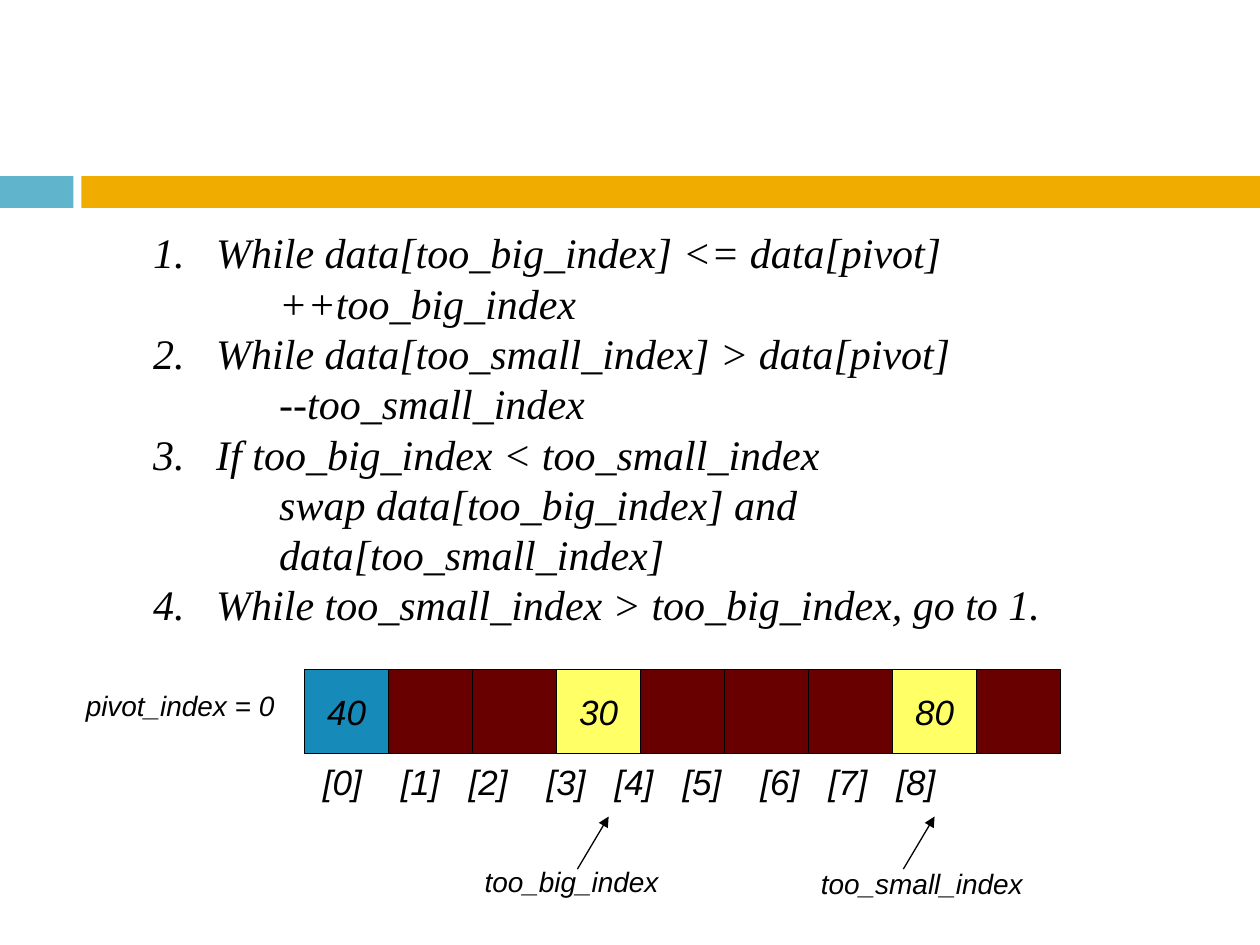
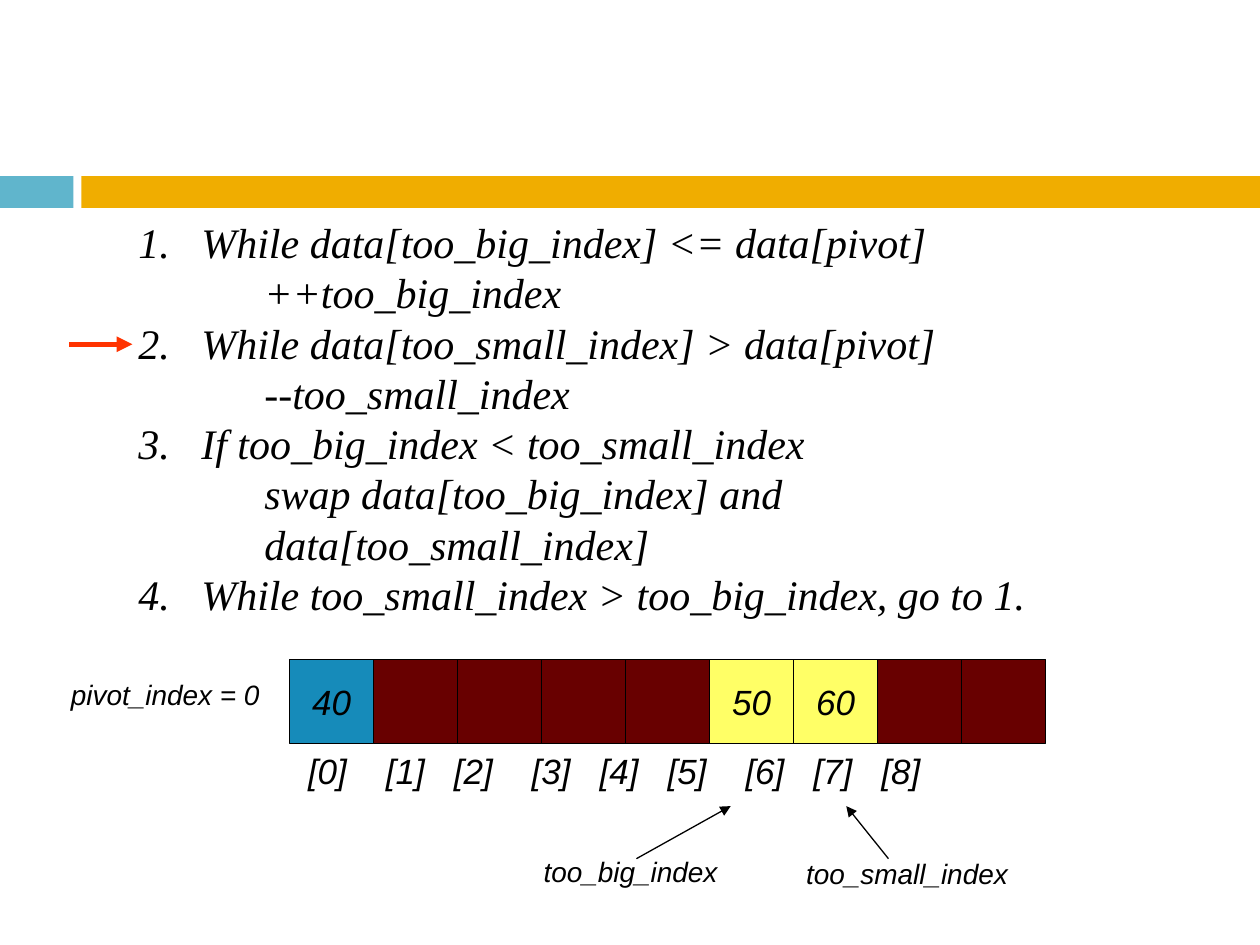
"""Builds two quicksort partition slides: the algorithm steps above the array state."""
from itertools import accumulate

from pptx import Presentation
from pptx.dml.color import RGBColor
from pptx.enum.shapes import MSO_CONNECTOR, MSO_SHAPE
from pptx.enum.text import MSO_ANCHOR, PP_ALIGN
from pptx.oxml.ns import qn
from pptx.util import Cm, Pt
from lxml import etree

RECT = MSO_SHAPE.RECTANGLE
STRAIGHT = MSO_CONNECTOR.STRAIGHT
MIDDLE = MSO_ANCHOR.MIDDLE
CENTER = PP_ALIGN.CENTER

COLORS = {
    "black": "000000",
    "band_blue": "60B5CC",
    "band_gold": "F0AD00",
    "pivot": "168BBA",
    "plain": "680000",
    "active": "FFFF66",
    "pointer": "FF3300",
}
SANS, SERIF = "Arial", "Times New Roman"
CELL_COUNT = 9
CELL = 15.24 / CELL_COUNT
INDENT = 1.27
NARROW_GAP, WIDE_GAP = 1.37, 1.57
INDEX_GAPS = [WIDE_GAP if i in (0, 2, 5) else NARROW_GAP for i in range(CELL_COUNT - 1)]

STEPS = [
    (0, "While data[too_big_index] <= data[pivot]"),
    (1, "++too_big_index"),
    (0, "While data[too_small_index] > data[pivot]"),
    (1, "--too_small_index"),
    (0, "If too_big_index < too_small_index"),
    (1, "swap data[too_big_index] and data[too_small_index]"),
    (0, "While too_small_index > too_big_index, go to 1."),
]

STATES = [
    {"origin": (2.84, 4.45), "active": {3: 30, 7: 80},
     "big_x": 6.68, "big_tip": 9.43, "small_tip": 16.0},
    {"origin": (2.54, 4.24), "active": {5: 50, 6: 60},
     "big_x": 8.17, "big_tip": 12.19, "small_tip": 14.52, "current_step_y": 2.7},
]


def rgb(name):
    """Return the named colour."""
    return RGBColor.from_string(COLORS[name])


class Deck:
    """Holds the shared style and the slide being drawn."""

    def __init__(self):
        """Start an empty 4:3 presentation."""
        self.prs = Presentation()
        self.prs.slide_width, self.prs.slide_height = Cm(25.4), Cm(19.05)
        self.s = None
        self.x = self.y = 0

    def new_slide(self, origin):
        """Add a slide with its bands, then measure from the given origin."""
        self.s = self.prs.slides.add_slide(self.prs.slide_layouts[6])
        self.x = self.y = 0
        self.rect(0, 3.55, 1.48, 0.64, "band_blue")
        self.rect(1.64, 3.55, 23.76, 0.64, "band_gold")
        self.x, self.y = origin

    def place(self, x, y):
        """Turn a point relative to the origin into slide lengths."""
        return Cm(self.x + x), Cm(self.y + y)

    def rect(self, x, y, w, h, fill):
        """Add a plain filled rectangle."""
        sp = self.s.shapes.add_shape(RECT, *self.place(x, y), Cm(w), Cm(h))
        sp.shadow.inherit = False
        sp.fill.solid()
        sp.fill.fore_color.rgb = rgb(fill)
        sp.line.fill.background()
        return sp

    def run(self, p, text, size, font=SANS):
        """Add one black italic run."""
        r = p.add_run()
        r.text = text
        r.font.name, r.font.size, r.font.italic = font, Pt(size), True
        r.font.color.rgb = rgb("black")

    def cell(self, x, y, fill, value=None):
        """Add one outlined array cell, with its value if it is in play."""
        sp = self.rect(x, y, CELL, CELL, fill)
        sp.line.color.rgb = rgb("black")
        sp.line.width = Pt(0.75)
        if value is not None:
            tf = sp.text_frame
            tf.word_wrap, tf.vertical_anchor = False, MIDDLE
            p = tf.paragraphs[0]
            p.alignment = CENTER
            self.run(p, str(value), 20)

    def array(self, x, y, active):
        """Add the row of cells: the pivot, the active values and the rest."""
        for i in range(CELL_COUNT):
            fill = "active" if i in active else "plain" if i else "pivot"
            self.cell(x + i * CELL, y, fill, active.get(i) if i else 40)

    def box(self, x, y, w, h):
        """Add an empty wrapping text box and return its text frame."""
        tf = self.s.shapes.add_textbox(*self.place(x, y), Cm(w), Cm(h)).text_frame
        tf.word_wrap = True
        return tf

    def label(self, x, y, w, text):
        """Add a small one-line label."""
        self.run(self.box(x, y, w, 0.94).paragraphs[0], text, 16)

    def indexes(self, x, y):
        """Add the row of array indexes on tab stops."""
        p = self.box(x, y, 14.91, 1.12).paragraphs[0]
        tabs = etree.SubElement(p._p.get_or_add_pPr(), qn("a:tabLst"))
        for stop in accumulate(INDEX_GAPS):
            etree.SubElement(tabs, qn("a:tab"), pos=str(Cm(stop)), algn="l")
        self.run(p, "\t".join(f"[{i}]" for i in range(CELL_COUNT)), 20)

    def steps(self):
        """Add the numbered algorithm with indented actions."""
        tf = self.box(0, 0, 21.11, 10.39)
        for i, (level, text) in enumerate(STEPS):
            p = tf.add_paragraph() if i else tf.paragraphs[0]
            p.level = level
            p.line_spacing = Pt(28.75)
            pPr = p._p.get_or_add_pPr()
            pPr.set("marL", str(Cm(INDENT * (level + 1))))
            pPr.set("indent", str(0 if level else -Cm(INDENT)))
            if level:
                etree.SubElement(pPr, qn("a:buNone"))
            else:
                etree.SubElement(pPr, qn("a:buFont"), typeface=SERIF)
                etree.SubElement(pPr, qn("a:buAutoNum"), type="arabicPeriod")
            self.run(p, text, 24, SERIF)

    def arrow(self, x1, y1, x2, y2, color="black", width=0.75):
        """Add a straight arrow pointing at the second point."""
        c = self.s.shapes.add_connector(STRAIGHT, *self.place(x1, y1), *self.place(x2, y2))
        c.line.color.rgb = rgb(color)
        c.line.width = Pt(width)
        spPr = c._element.spPr
        etree.SubElement(spPr.find(qn("a:ln")), qn("a:tailEnd"), type="triangle")
        etree.SubElement(spPr, qn("a:effectLst"))

    def partition(self, state):
        """Draw one state of the partition."""
        self.new_slide(state["origin"])
        self.steps()
        self.array(3.3, 9.05, state["active"])
        self.label(-1.36, 9.3, 4.47, "pivot_index = 0")
        self.indexes(3.42, 10.75)
        self.label(state["big_x"], 12.86, 8.05, "too_big_index")
        self.label(13.46, 12.9, 5.92, "too_small_index")
        self.arrow(state["big_x"] + 2.12, 13.07, state["big_tip"], 12.01)
        self.arrow(15.37, 13.07, state["small_tip"], 12.01)
        if "current_step_y" in state:
            y = state["current_step_y"]
            self.arrow(-1.14, y, 0.13, y, "pointer", 3)


def main():
    """Build and save the deck."""
    deck = Deck()
    for state in STATES:
        deck.partition(state)
    deck.prs.save("out.pptx")


if __name__ == "__main__":
    main()
